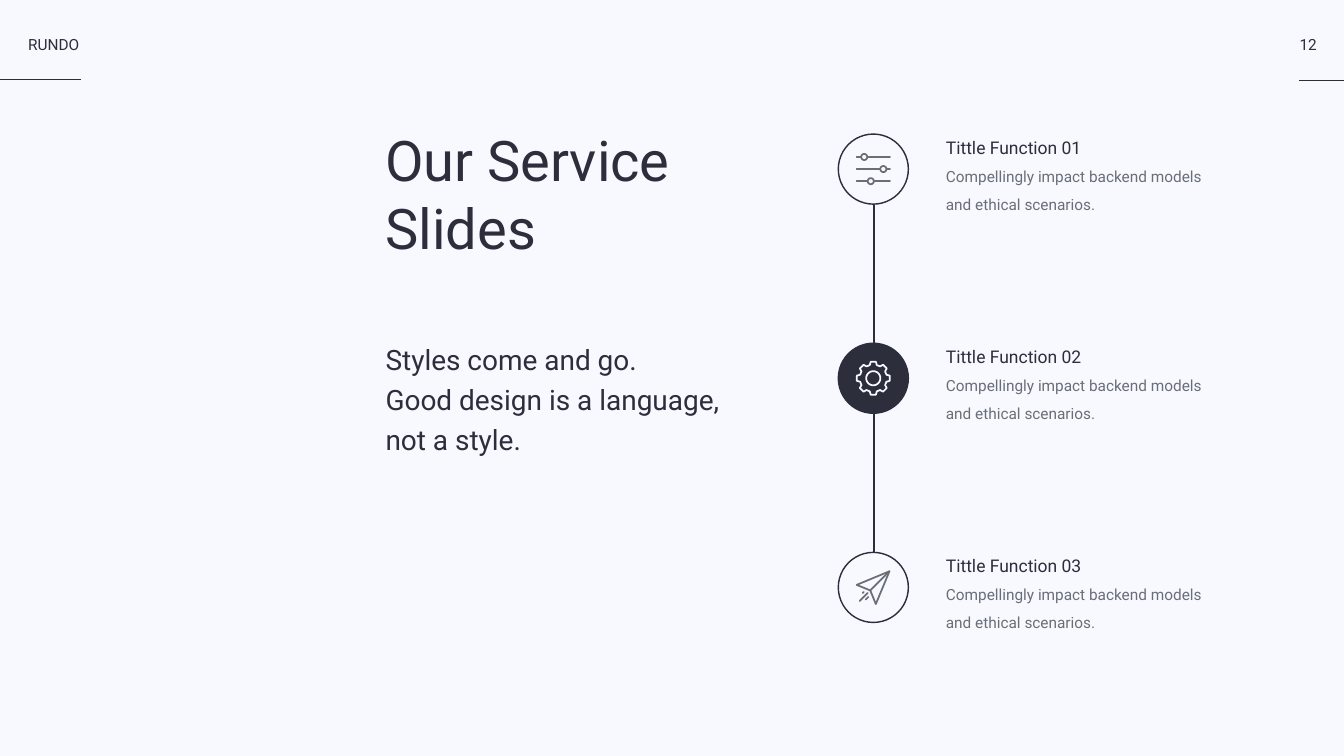
import math

import pptx
import pptx.dml.color
import pptx.enum.shapes
import pptx.enum.text
import pptx.oxml
import pptx.oxml.ns
import pptx.util
from pptx.util import Inches

INK = pptx.dml.color.RGBColor(0x2C, 0x2E, 0x3C)
GREY = pptx.dml.color.RGBColor(0x6A, 0x6E, 0x77)
PAPER = pptx.dml.color.RGBColor(0xF7, 0xF9, 0xFF)

FONT = "Roboto"
CIRCLE_SIZE = 1.39
TIMELINE_X = 17.33
FIRST_CIRCLE_TOP = 2.66
STEP_PITCH = 4.15


def add_text(slide, left, top, width, height, lines, size=22, color=INK,
             spacing=1.0, align=pptx.enum.text.PP_ALIGN.LEFT, lead_size=None, lead_color=None):
    """Add one paragraph per line; the first may have its own size and colour."""
    box = slide.shapes.add_textbox(Inches(left), Inches(top), Inches(width), Inches(height))
    frame = box.text_frame
    frame.margin_left = frame.margin_right = frame.margin_top = frame.margin_bottom = 0
    frame.word_wrap = False
    frame.auto_size = pptx.enum.text.MSO_AUTO_SIZE.SHAPE_TO_FIT_TEXT
    for i, line in enumerate(lines):
        paragraph = frame.add_paragraph() if i else frame.paragraphs[0]
        paragraph.alignment = align
        paragraph.line_spacing = spacing
        run = paragraph.add_run()
        run.text = line
        run.font.name = FONT
        run.font.size = pptx.util.Pt(lead_size if lead_size and i == 0 else size)
        run.font.color.rgb = lead_color if lead_color and i == 0 else color


def add_line(slide, start, end):
    line = slide.shapes.add_connector(
        pptx.enum.shapes.MSO_CONNECTOR.STRAIGHT, *map(Inches, start + end))
    line.line.color.rgb = INK
    line.line.width = pptx.util.Pt(2)
    line.element.spPr.append(
        pptx.oxml.parse_xml(f"<a:effectLst {pptx.oxml.ns.nsdecls('a')}/>"))


def style_outline(shape, color, width, fill=None):
    shape.shadow.inherit = False
    shape.line.color.rgb = color
    shape.line.width = pptx.util.Pt(width)
    if fill is None:
        shape.fill.background()
    else:
        shape.fill.solid()
        shape.fill.fore_color.rgb = fill


def add_step_circle(slide, top, fill):
    circle = slide.shapes.add_shape(
        pptx.enum.shapes.MSO_SHAPE.OVAL, Inches(TIMELINE_X - CIRCLE_SIZE / 2), Inches(top),
        Inches(CIRCLE_SIZE), Inches(CIRCLE_SIZE))
    style_outline(circle, INK, 2, fill)


def add_icon(slide, x, y, strokes, color):
    """Draw all strokes, given relative to the icon centre, as one shape."""
    builder = None
    for stroke in strokes:
        points = [(Inches(x + dx), Inches(y + dy)) for dx, dy in stroke]
        if builder is None:
            builder = slide.shapes.build_freeform(*points[0])
        else:
            builder.move_to(*points[0])
        builder.add_line_segments(points[1:], close=False)
    icon = builder.convert_to_shape()
    style_outline(icon, color, 2.5)
    icon.element.spPr.find(pptx.oxml.ns.qn("a:ln")).set("cap", "rnd")


def polar(angle, radius):
    return radius * math.cos(math.radians(angle)), radius * math.sin(math.radians(angle))


def ring(x, y, radius):
    offsets = (polar(angle, radius) for angle in range(0, 361, 10))
    return [(x + dx, y + dy) for dx, dy in offsets]


def sliders_strokes():
    radius, half = 0.06, 0.33
    strokes = []
    for row, knob in zip((-0.24, 0, 0.24), (-0.18, 0.2, -0.05)):
        strokes += [[(-half, row), (knob - radius, row)], ring(knob, row, radius),
                    [(knob + radius, row), (half, row)]]
    return strokes


def gear_strokes():
    # Each tooth is a base, two tip corners and a base again
    tooth = ((-15, 0.27), (-9, 0.33), (9, 0.33), (15, 0.27))
    rim = [polar(center + offset, radius)
           for center in range(0, 360, 45) for offset, radius in tooth]
    return [rim + rim[:1], ring(0, 0, 0.14)]


def plane_strokes():
    wing, nose, tail, fold = (-0.33, -0.05), (0.32, -0.32), (0.05, 0.33), (-0.06, 0.06)
    # Speed trails behind the plane
    trails = [[(left, bottom), (left + length, bottom - length)]
              for left, bottom, length in
              ((-0.27, 0.27, 0.16), (-0.15, 0.24, 0.05), (-0.21, 0.11, 0.02))]
    return [[wing, nose, tail, fold, wing], [fold, nose]] + trails


def add_timeline(slide):
    steps = (("01", sliders_strokes(), GREY, None), ("02", gear_strokes(), PAPER, INK),
             ("03", plane_strokes(), GREY, None))
    for i, (number, strokes, icon_color, fill) in enumerate(steps):
        top = FIRST_CIRCLE_TOP + i * STEP_PITCH
        if i:
            add_line(slide, (TIMELINE_X + 0.01, top - STEP_PITCH + CIRCLE_SIZE),
                     (TIMELINE_X + 0.01, top))
        add_step_circle(slide, top, fill)
        add_icon(slide, TIMELINE_X, top + CIRCLE_SIZE / 2, strokes, icon_color)
        add_text(slide, 18.77, top - 0.15, 5.11, 1.69,
                 [f"Tittle Function {number}", "Compellingly impact backend models",
                  "and ethical scenarios."],
                 color=GREY, spacing=1.5, lead_size=25, lead_color=INK)


def main():
    deck = pptx.Presentation()
    deck.slide_width, deck.slide_height = Inches(26.67), Inches(15)
    slide = deck.slides.add_slide(deck.slide_layouts[6])
    slide.background.fill.solid()
    slide.background.fill.fore_color.rgb = PAPER

    # Header
    add_line(slide, (0, 1.58), (1.61, 1.58))
    add_text(slide, 0.56, 0.69, 1.05, 0.4, ["RUNDO"])
    add_line(slide, (25.78, 1.6), (26.67, 1.6))
    add_text(slide, 25.78, 0.69, 0.36, 0.4, ["12"], align=pptx.enum.text.PP_ALIGN.CENTER)

    # Title and motto
    add_text(slide, 7.65, 2.5, 6.1, 2.94, ["Our Service", "Slides"], size=80)
    add_text(slide, 7.65, 6.66, 6.68, 2.5,
             ["Styles come and go.", "Good design is a language,", "not a style."],
             size=40, spacing=1.2)

    # Services
    add_timeline(slide)

    deck.save("out.pptx")


if __name__ == "__main__":
    main()
